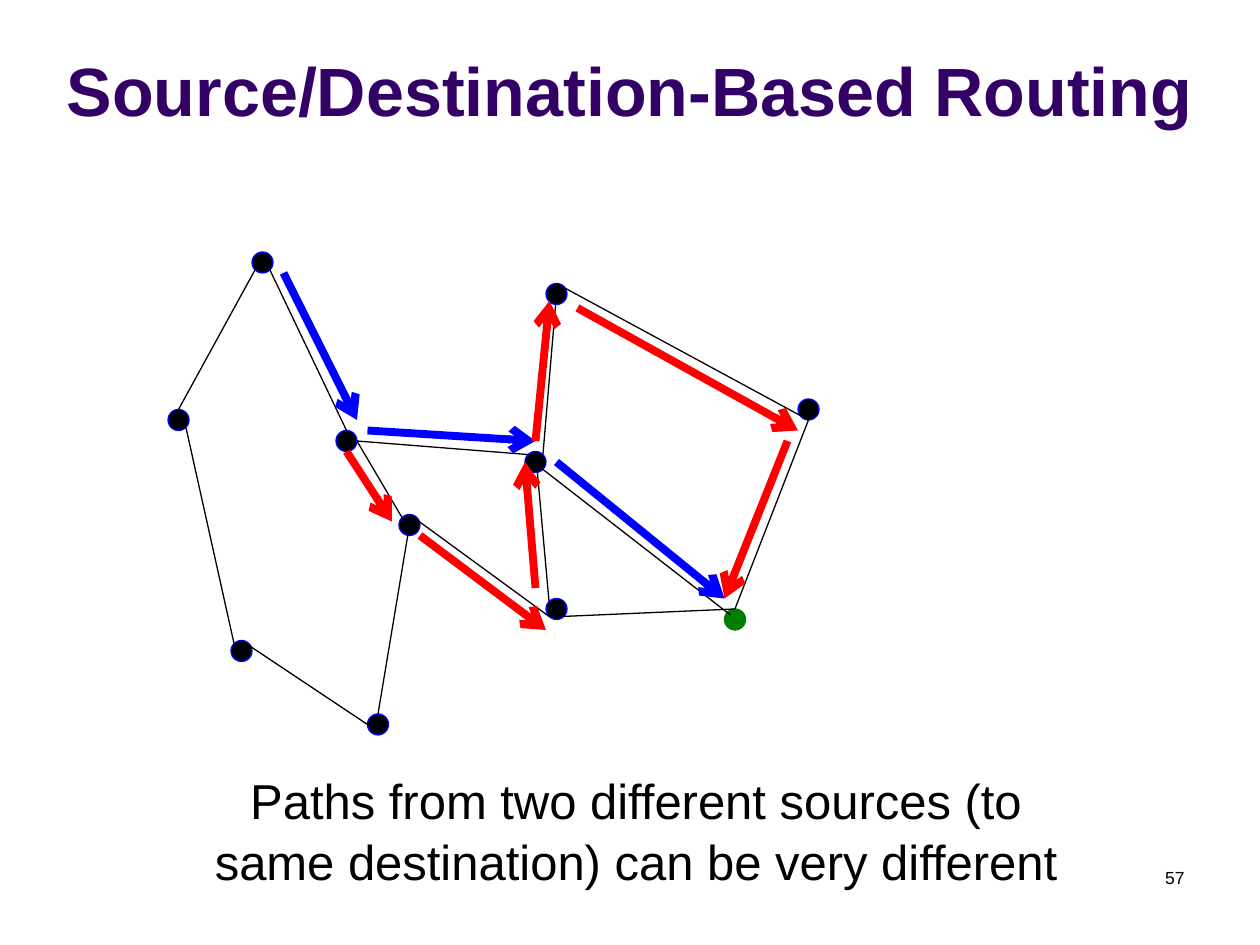
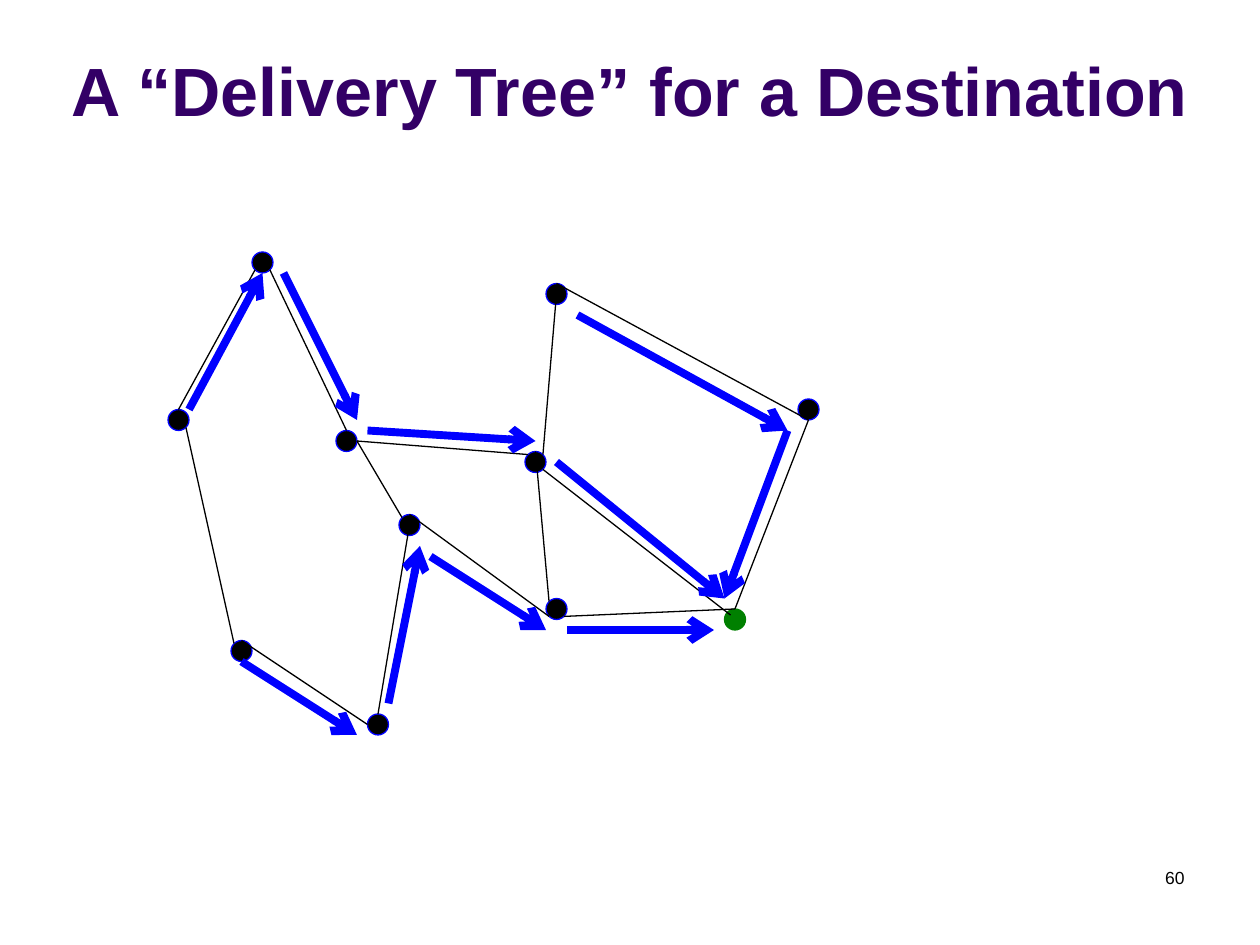
from lxml.etree import SubElement
from pptx import Presentation
from pptx.dml.color import RGBColor
from pptx.enum.shapes import MSO_CONNECTOR as Connector, MSO_SHAPE as Shape
from pptx.enum.text import MSO_ANCHOR as Anchor, PP_ALIGN as Align
from pptx.oxml.ns import qn
from pptx.util import Cm, Pt

COLORS = {
    "title": "330066",
    "text": "000000",
    "router": "000000",
    "rim": "0000FF",
    "destination": "008000",
    "link": "000000",
    "blue": "0000FF",
    "red": "FF0000",
}
FONT = "Arial"
GRID = 2.54 / 12
NODE_SIZE = 2

ROUTERS = {
    "A": (24, 24), "B": (16, 39), "C": (52, 27), "D": (52, 57),
    "E": (35, 68), "F": (32, 41), "G": (76, 38), "H": (38, 49),
    "I": (22, 61), "J": (50, 43), "K": (69, 58),
}
DESTINATION = "K"

ANCHORS = {
    "top": (1, 0), "left": (0, 1), "bottom": (1, 2), "right": (2, 1),
    "top left": (0.29, 0.29), "top right": (1.71, 0.29),
    "bottom left": (0.29, 1.71), "bottom right": (1.71, 1.71),
    "center": (1, 1), "inside": (0.58, 0.58),
}
LINKS = [
    ("A", "bottom right", "F", "top"),
    ("A", "bottom left", "B", "top"),
    ("B", "bottom right", "I", "top left"),
    ("F", "right", "H", "top left"),
    ("J", "bottom right", "K", "inside"),
    ("C", "center", "J", "top right"),
    ("C", "top", "G", "bottom"),
    ("G", "bottom", "K", "top"),
    ("I", "top", "E", "left"),
    ("H", "top", "D", "bottom left"),
    ("K", "top", "D", "bottom right"),
    ("J", "top", "D", "top left"),
    ("H", "center", "E", "top"),
    ("F", "right", "J", "top left"),
]

SHARED_HOPS = [
    ("blue", (27, 26), (34, 40)),
    ("blue", (35, 41), (51, 42)),
    ("blue", (53, 44), (69, 57)),
]
SLIDES = [
    {
        "title": "Source/Destination-Based Routing",
        "number": "57",
        "hops": [
            ("red", (33, 43), (37.33, 49.67)),
            ("red", (40, 51), (52, 60)),
            ("red", (51, 56), (50, 44)),
            ("red", (51, 42), (52.33, 28.67)),
            ("red", (55, 29.33), (76, 41)),
            ("red", (75, 42), (69, 57)),
        ],
        "caption": "Paths from two different sources (to same destination) can be very different",
    },
    {
        "title": "A “Delivery Tree” for a Destination",
        "number": "60",
        "hops": [
            ("blue", (18, 39), (25, 26)),
            ("blue", (23, 63), (34, 70)),
            ("blue", (37, 67), (40, 52)),
            ("blue", (41, 53), (52, 60)),
            ("blue", (54, 60), (68, 60)),
            ("blue", (55, 30), (75, 41)),
            ("blue", (75, 41), (69, 57)),
        ],
        "caption": None,
    },
]


def add_text(page, text, bounds, size, color, align, bold=False, anchor=Anchor.TOP):
    box = page.shapes.add_textbox(*[Cm(length) for length in bounds])
    frame = box.text_frame
    frame.word_wrap = True
    frame.vertical_anchor = anchor
    frame.text = text
    para = frame.paragraphs[0]
    para.alignment = align
    font = para.runs[0].font
    font.name, font.size, font.bold = FONT, Pt(size), bold
    font.color.rgb = RGBColor.from_string(COLORS[color])
    return para


def add_line(page, start, end, color, width, arrow=False):
    ends = [Cm(value * GRID) for value in (*start, *end)]
    line = page.shapes.add_connector(Connector.STRAIGHT, *ends)
    line.line.color.rgb = RGBColor.from_string(COLORS[color])
    line.line.width = Pt(width)
    if arrow:
        SubElement(line.line._get_or_add_ln(), qn("a:tailEnd"), type="arrow")
    SubElement(line._element.spPr, qn("a:effectLst"))


deck = Presentation()
deck.slide_width, deck.slide_height = Cm(25.4), Cm(19.05)

for content in SLIDES:
    page = deck.slides.add_slide(deck.slide_layouts[6])
    add_text(page, content["title"], (0, 0.33, 25.4, 2.41), 39, "title",
             Align.CENTER, bold=True, anchor=Anchor.BOTTOM)
    add_text(page, content["number"], (18.21, 17.35, 5.92, 1.27), 10, "text", Align.RIGHT)

    for name, (left, top) in ROUTERS.items():
        node = page.shapes.add_shape(
            Shape.OVAL, *[Cm(value * GRID) for value in (left, top, NODE_SIZE, NODE_SIZE)])
        fill, rim = ("destination",) * 2 if name == DESTINATION else ("router", "rim")
        node.shadow.inherit = False
        node.fill.solid()
        node.fill.fore_color.rgb = RGBColor.from_string(COLORS[fill])
        node.line.color.rgb = RGBColor.from_string(COLORS[rim])
        node.line.width = Pt(0.75)

    for source, source_anchor, target, target_anchor in LINKS:
        start, end = [
            [sum(pair) for pair in zip(ROUTERS[name], ANCHORS[anchor])]
            for name, anchor in ((source, source_anchor), (target, target_anchor))
        ]
        add_line(page, start, end, "link", 0.75)

    for color, start, end in SHARED_HOPS + content["hops"]:
        add_line(page, start, end, color, 4.5, arrow=True)

    if content["caption"]:
        caption = add_text(page, content["caption"], (3.61, 15.34, 18.42, 2.64), 28,
                           "text", Align.CENTER)
        caption.line_spacing = 1.05

deck.save("out.pptx")
